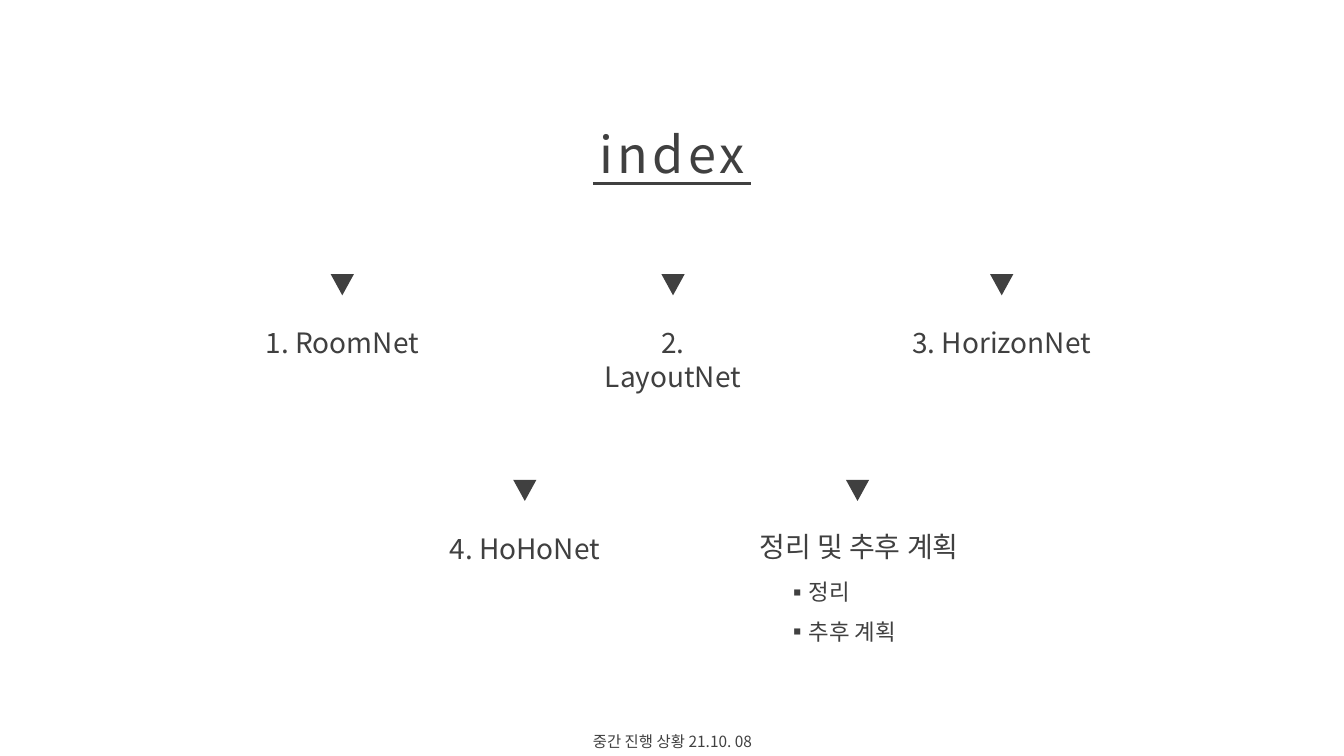
"""Build an index slide with five marked topics and a footer."""
from lxml import etree
from pptx import Presentation
from pptx import util as u
from pptx.dml.color import RGBColor
from pptx.enum import shapes, text
from pptx.oxml.ns import qn

FONT = "Noto Sans CJK KR"
DARK = "404040"


def rgb(value):
    return RGBColor.from_string(value)


def write(sp, box, words, size, align=text.PP_ALIGN.CENTER):
    sp.left, sp.top, sp.width, sp.height = [u.Inches(n) for n in box]
    tf = sp.text_frame
    tf.word_wrap = True
    tf.auto_size = text.MSO_AUTO_SIZE.SHAPE_TO_FIT_TEXT
    tf.vertical_anchor = text.MSO_ANCHOR.TOP
    tf.text = words
    p = tf.paragraphs[0]
    p.alignment = align
    r = p.runs[0]
    r.font.name = FONT
    r.font.size = u.Pt(size)
    r.font.color.rgb = rgb(DARK)
    etree.SubElement(r.font._element, qn("a:ea"), typeface=FONT)
    return p


prs = Presentation()
prs.slide_width, prs.slide_height = u.Inches(13.33), u.Inches(7.5)
s = prs.slides.add_slide(prs.slide_layouts[5])

p = write(s.shapes.title, (5.36, 1.17, 2.62, 0.71), "index", 36)
p.runs[0].font._element.set("spc", "300")

rule = s.shapes.add_connector(shapes.MSO_CONNECTOR.STRAIGHT, u.Inches(5.88),
                              u.Inches(1.82), u.Inches(7.45), u.Inches(1.82))
rule.line.color.rgb = rgb(DARK)
rule.line.width = u.Pt(2.25)
etree.SubElement(rule._element.spPr, qn("a:effectLst"))

topics = [
    ("1. RoomNet", 3.28, 2.72, (2.48, 3.18, 1.83, 0.44)),
    ("2. LayoutNet", 6.56, 2.72, (5.76, 3.18, 1.83, 0.44)),
    ("3. HorizonNet", 9.82, 2.72, (8.91, 3.18, 2.05, 0.44)),
    ("4. HoHoNet", 5.09, 4.76, (4.29, 5.22, 1.83, 0.44)),
    ("정리 및 추후 계획", 8.39, 4.76, (7.21, 5.2, 2.62, 0.44)),
]
for words, x, y, box in topics:
    marker = s.shapes.add_shape(shapes.MSO_SHAPE.ISOSCELES_TRIANGLE, u.Inches(x),
                                u.Inches(y), u.Inches(0.23), u.Inches(0.21))
    marker.rotation = 180
    marker.shadow.inherit = False
    marker.fill.solid()
    marker.fill.fore_color.rgb = rgb(DARK)
    marker.line.fill.background()
    write(s.shapes.add_textbox(0, 0, 0, 0), box, words, 20)

for i, words in enumerate(["정리", "추후 계획"]):
    p = write(s.shapes.add_textbox(0, 0, 0, 0), (7.7, 5.69 + 0.39 * i, 1.83, 0.37),
              words, 16, text.PP_ALIGN.LEFT)
    pPr = p._p.get_or_add_pPr()
    pPr.set("marL", str(u.Inches(0.19)))
    pPr.set("indent", str(u.Inches(-0.19)))
    etree.SubElement(pPr, qn("a:buFont"), typeface=FONT)
    etree.SubElement(pPr, qn("a:buChar"), char="▪")

write(s.shapes.add_textbox(0, 0, 0, 0), (4.75, 7.21, 3.84, 0.29),
      "중간 진행 상황 21.10. 08", 11)

prs.save("out.pptx")
